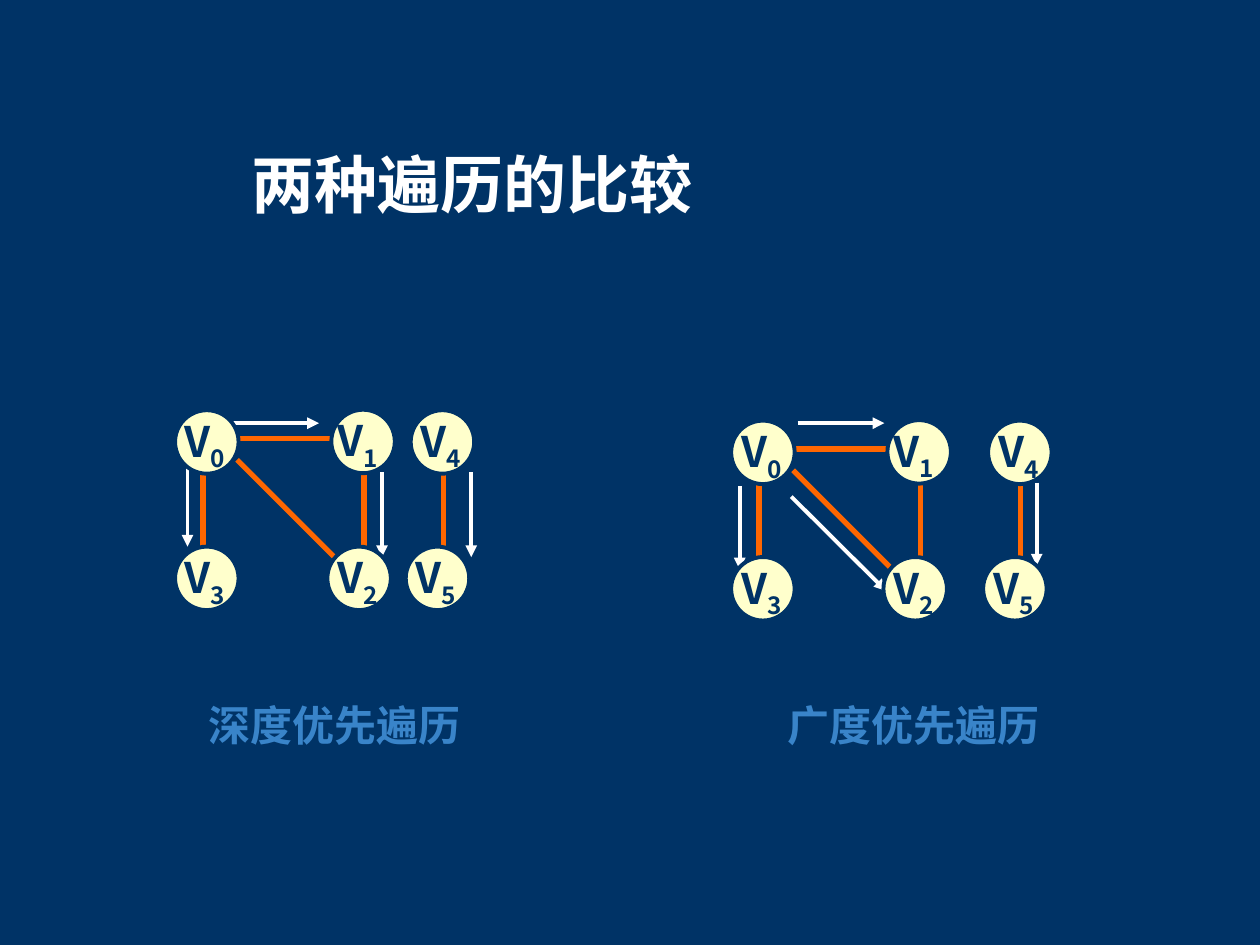
from lxml import etree
from pptx import Presentation
from pptx import util as u
from pptx.dml import color
from pptx.enum import shapes, text
from pptx.oxml import ns

NAVY, CREAM, ORANGE, WHITE, SKY = "003366", "FFFFCC", "FF6600", "FFFFFF", "3984C9"
CONNECTED_NODES = [("0", 3.53, 8.27), ("2", 6.6, 11.02), ("3", 3.53, 11.02), ("1", 6.68, 8.26)]
CONNECTED_EDGES = [(4.78, 9.27, 6.86, 11.35), (4.09, 9.52, 4.09, 11.15),
                   (4.8, 8.84, 6.78, 8.84), (7.34, 9.52, 7.34, 11.15)]
PAIR_NODES = [("5", 8.18, 11.02), ("4", 8.28, 8.27)]
PAIR_EDGES = [(8.94, 9.42, 8.94, 11.05)]
DEPTH_STEPS = [(4.67, 8.53, 6.43, 8.53), (7.7, 9.52, 7.7, 11.23),
               (3.78, 9.32, 3.78, 11.02), (9.5, 9.52, 9.5, 11.23)]
BREADTH_STEPS = [(16.08, 8.53, 17.83, 8.53), (15.95, 10.01, 17.86, 11.91),
                 (14.91, 9.8, 14.91, 11.48), (20.9, 9.73, 20.9, 11.4)]


def rgb(value):
    return color.RGBColor.from_string(value)


class GraphSlide:
    """Draws graph traversals on one slide in a shared style."""

    font = "Noto Sans CJK SC"
    diameter = 1.28

    def __init__(self, slide):
        self.slide = slide
        slide.background.fill.solid()
        slide.background.fill.fore_color.rgb = rgb(NAVY)

    def line(self, x1, y1, x2, y2, shade, weight, arrow=False):
        line = self.slide.shapes.add_connector(
            shapes.MSO_CONNECTOR.STRAIGHT, u.Cm(x1), u.Cm(y1), u.Cm(x2), u.Cm(y2))
        line.line.color.rgb = rgb(shade)
        line.line.width = u.Pt(weight)
        if arrow:
            etree.SubElement(line.line._get_or_add_ln(), ns.qn("a:tailEnd"), type="triangle")
        etree.SubElement(line._element.spPr, ns.qn("a:effectLst"))

    def words(self, x, y, width, height, runs, size, shade, align, inset=0.25, grow=True):
        frame = self.slide.shapes.add_textbox(
            u.Cm(x), u.Cm(y), u.Cm(width), u.Cm(height)).text_frame
        frame.word_wrap = True
        frame.margin_left = u.Cm(inset)
        if grow:
            frame.auto_size = text.MSO_AUTO_SIZE.SHAPE_TO_FIT_TEXT
        else:
            frame.vertical_anchor = text.MSO_ANCHOR.MIDDLE
        paragraph = frame.paragraphs[0]
        paragraph.alignment = align
        for content, baseline in runs:
            run = paragraph.add_run()
            run.text = content
            run.font.size = u.Pt(size)
            run.font.bold = True
            run.font.name = self.font
            run.font.color.rgb = rgb(shade)
            properties = run._r.get_or_add_rPr()
            etree.SubElement(properties, ns.qn("a:ea"), typeface=self.font)
            if baseline:
                properties.set("baseline", str(baseline))

    def node(self, index, x, y):
        disc = self.slide.shapes.add_shape(
            shapes.MSO_SHAPE.OVAL, u.Cm(x), u.Cm(y), u.Cm(self.diameter), u.Cm(self.diameter))
        disc.shadow.inherit = False
        disc.fill.solid()
        disc.fill.fore_color.rgb = rgb(CREAM)
        disc.line.color.rgb = rgb(NAVY)
        disc.line.width = u.Pt(2.25)
        label_shift = 0.2 if index == "1" else 0.13
        self.words(x - label_shift, y - 0.02, 1.8, 1.42, [("V", 0), (index, -25000)],
                   24, NAVY, text.PP_ALIGN.LEFT, inset=0.33)

    def graph(self, nodes, edges, dx, dy):
        for x1, y1, x2, y2 in edges:
            self.line(x1 + dx, y1 + dy, x2 + dx, y2 + dy, ORANGE, 3)
        for index, x, y in nodes:
            self.node(index, x + dx, y + dy)

    def traversal(self, steps, dx, pair_dx, dy):
        for step in steps:
            self.line(*step, WHITE, 2.25, arrow=True)
        self.graph(CONNECTED_NODES, CONNECTED_EDGES, dx, dy)
        self.graph(PAIR_NODES, PAIR_EDGES, pair_dx, dy)

    def caption(self, x, content):
        self.words(x, 13.97, 8.89, 1.27, [(content, 0)], 24, SKY, text.PP_ALIGN.CENTER)

    def title(self, content):
        self.words(4.65, 2.97, 9.73, 1.47, [(content, 0)], 36, WHITE,
                   text.PP_ALIGN.CENTER, grow=False)


def main():
    deck = Presentation()
    deck.slide_width, deck.slide_height = u.Cm(25.4), u.Cm(19.05)
    comparison = GraphSlide(deck.slides.add_slide(deck.slide_layouts[6]))
    comparison.traversal(DEPTH_STEPS, 0, 0, 0)
    comparison.traversal(BREADTH_STEPS, 11.21, 11.64, 0.21)
    comparison.caption(2.29, "深度优先遍历")
    comparison.caption(13.97, "广度优先遍历")
    comparison.title("两种遍历的比较")
    deck.save("out.pptx")


if __name__ == "__main__":
    main()
